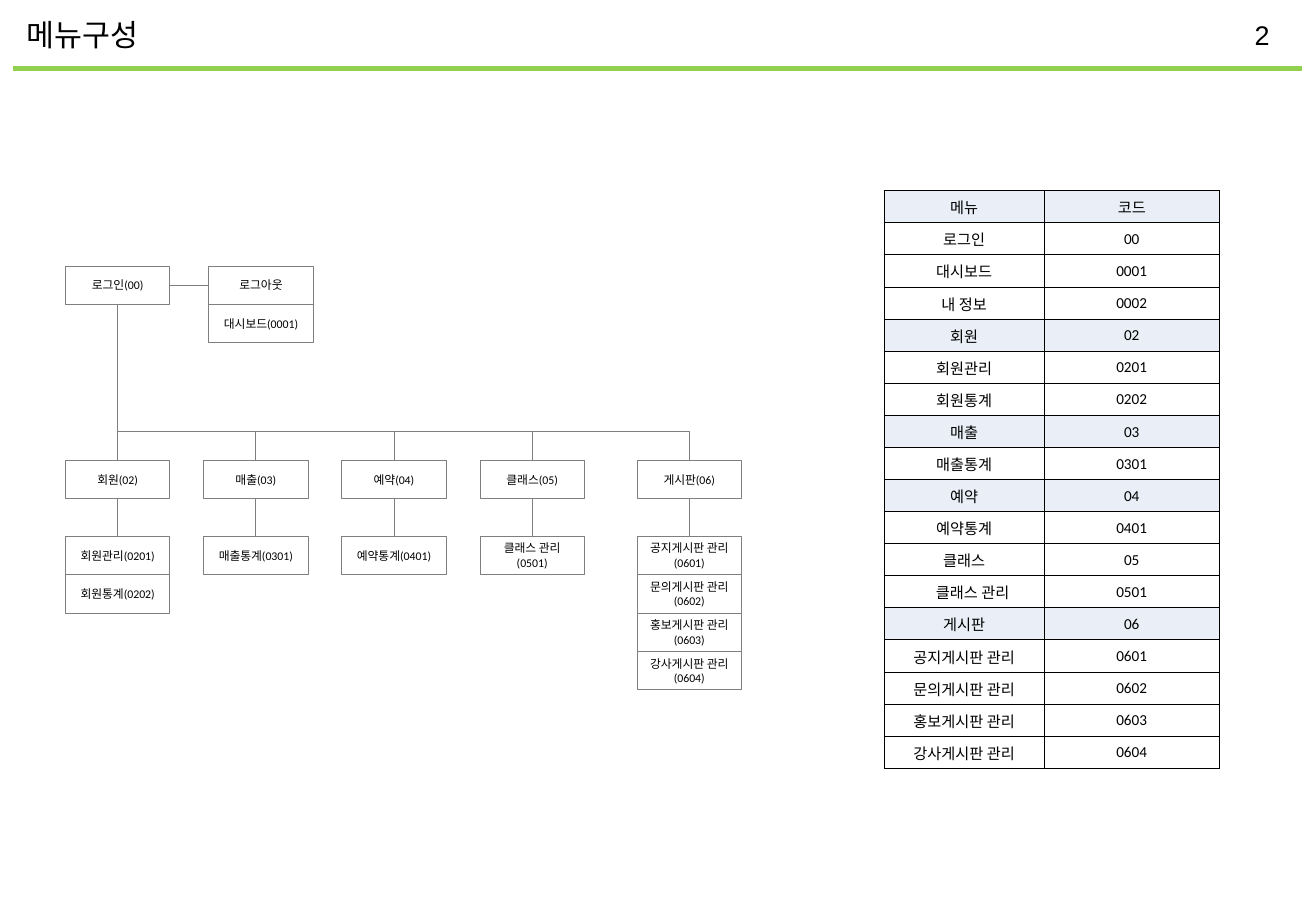
from lxml.etree import SubElement
from pptx import Presentation
from pptx.dml.color import RGBColor
from pptx.enum.shapes import MSO_CONNECTOR, MSO_SHAPE
from pptx.enum.text import MSO_ANCHOR, PP_ALIGN
from pptx.oxml.ns import qn
from pptx.util import Pt

BLACK = RGBColor(0x00, 0x00, 0x00)
WHITE = RGBColor(0xFF, 0xFF, 0xFF)
GRAY = RGBColor(0x7F, 0x7F, 0x7F)
GREEN = RGBColor(0x92, 0xD0, 0x50)
PALE_BLUE = RGBColor(0xEA, 0xEF, 0xF7)

HANGUL, LATIN = "Noto Sans CJK KR", "Calibri"

# Menu tree: name, code, left edge of its column, children
LOGIN = ("로그인", "00")
LOGIN_PAGES = [("대시보드", "0001"), ("내 정보", "0002")]
MENUS = [
    ("회원", "02", 38.8, [("회원관리", "0201"), ("회원통계", "0202")]),
    ("매출", "03", 120.7, [("매출통계", "0301")]),
    ("예약", "04", 202.6, [("예약통계", "0401")]),
    ("클래스", "05", 284.5, [("클래스 관리", "0501")]),
    ("게시판", "06", 377.6, [("공지게시판 관리", "0601"), ("문의게시판 관리", "0602"),
                          ("홍보게시판 관리", "0603"), ("강사게시판 관리", "0604")]),
]
SHADED_CODES = {"코드", "02", "03", "04", "06"}

BOX_W, BOX_H = 61.9, 22.8
LOGIN_Y, BUS_Y, MENU_Y, CHILD_Y = 157.7, 255.6, 272.8, 317.8
LOGOUT_X = 123.8
ROW_H = 19.04


def write(p, parts, size, align=PP_ALIGN.CENTER):
    """Fill a paragraph with (text, font name) runs."""
    p.alignment = align
    p.font.size = Pt(size)
    p.font.color.rgb = BLACK
    for text, name in parts:
        r = p.add_run()
        r.text = text
        r.font.name = name
        SubElement(r._r.get_or_add_rPr(), qn("a:ea")).set("typeface", name)


def add_label(s, x, y, w, h, text, size, name, align, anchor, before):
    tf = s.shapes.add_textbox(Pt(x), Pt(y), Pt(w), Pt(h)).text_frame
    tf.vertical_anchor = anchor
    tf.word_wrap = False
    p = tf.paragraphs[0]
    p.space_before = Pt(before)
    write(p, [(text, name)], size, align)


def add_line(s, x1, y1, x2, y2, color=GRAY, width=0.5):
    line = s.shapes.add_connector(MSO_CONNECTOR.STRAIGHT, Pt(x1), Pt(y1), Pt(x2), Pt(y2))
    line.line.color.rgb = color
    line.line.width = Pt(width)
    SubElement(line._element.spPr, qn("a:effectLst"))


def add_box(s, x, y, name, code=None):
    """Menu box; a name of two words puts its code on a second line."""
    sp = s.shapes.add_shape(MSO_SHAPE.RECTANGLE, Pt(x), Pt(y), Pt(BOX_W), Pt(BOX_H))
    sp.shadow.inherit = False
    sp.fill.solid()
    sp.fill.fore_color.rgb = WHITE
    sp.line.color.rgb = GRAY
    sp.line.width = Pt(0.5)
    tf = sp.text_frame
    tf.word_wrap = False
    tf.vertical_anchor = MSO_ANCHOR.MIDDLE
    p = tf.paragraphs[0]
    if code is None:
        write(p, [(name, HANGUL)], 7)
    elif " " in name:
        write(p, [(name, HANGUL)], 7)
        write(tf.add_paragraph(), [(f"({code})", LATIN)], 7)
    else:
        write(p, [(name, HANGUL), (f"({code})", LATIN)], 7)


def add_bus(s, x1, x2):
    """Horizontal branch that drops into the last menu."""
    fb = s.shapes.build_freeform(Pt(x2), Pt(MENU_Y))
    fb.add_line_segments([(Pt(x2), Pt(BUS_Y)), (Pt(x1), Pt(BUS_Y))], close=False)
    sp = fb.convert_to_shape()
    sp.shadow.inherit = False
    sp.fill.background()
    sp.line.color.rgb = GRAY
    sp.line.width = Pt(0.5)


def add_tree(s):
    first_x, last_x = MENUS[0][2], MENUS[-1][2]
    mid = BOX_W / 2
    # Login group
    add_box(s, first_x, LOGIN_Y, *LOGIN)
    add_box(s, LOGOUT_X, LOGIN_Y, "로그아웃")
    add_box(s, LOGOUT_X, LOGIN_Y + BOX_H, *LOGIN_PAGES[0])
    add_line(s, first_x + BOX_W, LOGIN_Y + BOX_H / 2, LOGOUT_X, LOGIN_Y + BOX_H / 2)
    add_line(s, first_x + mid, LOGIN_Y + BOX_H, first_x + mid, MENU_Y)
    add_bus(s, first_x + mid, last_x + mid)
    # Menu columns
    for name, code, x, children in MENUS:
        if x not in (first_x, last_x):
            add_line(s, x + mid, BUS_Y, x + mid, MENU_Y)
        add_line(s, x + mid, MENU_Y + BOX_H, x + mid, CHILD_Y)
        add_box(s, x, MENU_Y, name, code)
        for i, child in enumerate(children):
            add_box(s, x, CHILD_Y + i * BOX_H, *child)


def style_cell(cell, text, name, fill):
    tcPr = cell._tc.get_or_add_tcPr()
    for side in ("a:lnL", "a:lnR", "a:lnT", "a:lnB"):
        ln = SubElement(tcPr, qn(side), w=str(Pt(0.5)))
        SubElement(SubElement(ln, qn("a:solidFill")), qn("a:srgbClr"), val=str(BLACK))
    cell.fill.solid()
    cell.fill.fore_color.rgb = fill
    cell.vertical_anchor = MSO_ANCHOR.MIDDLE
    cell.margin_left = cell.margin_right = cell.margin_top = Pt(0.7)
    cell.margin_bottom = Pt(0)
    write(cell.text_frame.paragraphs[0], [(text, name)], 9)


def add_code_table(s):
    rows = [("메뉴", "코드"), LOGIN, *LOGIN_PAGES]
    for name, code, _, children in MENUS:
        rows += [(name, code), *children]
    widths = (94.8, 104)
    table = s.shapes.add_table(len(rows), 2, Pt(524), Pt(113), Pt(sum(widths)),
                               Pt(ROW_H * len(rows))).table
    table.first_row = table.horz_banding = False
    for column, width in zip(table.columns, widths):
        column.width = Pt(width)
    for i, (name, code) in enumerate(rows):
        table.rows[i].height = Pt(ROW_H)
        fill = PALE_BLUE if code in SHADED_CODES else WHITE
        style_cell(table.cell(i, 0), name, HANGUL, fill)
        style_cell(table.cell(i, 1), code, LATIN if code.isdigit() else HANGUL, fill)
        if code == "0501":
            table.cell(i, 0).margin_left = Pt(10.8)


def main():
    prs = Presentation()
    prs.slide_width, prs.slide_height = Pt(780), Pt(540)
    s = prs.slides.add_slide(prs.slide_layouts[6])
    # Header
    add_line(s, 8, 40.6, 772, 40.6, GREEN, 3)
    add_label(s, 702, 7.2, 57.6, 26, "2", 16, "Arial", PP_ALIGN.RIGHT, MSO_ANCHOR.TOP, 3.8)
    add_label(s, 8.6, 12.2, 90, 16, "메뉴구성", 18, HANGUL, PP_ALIGN.LEFT,
              MSO_ANCHOR.MIDDLE, 4.3)
    # Body
    add_tree(s)
    add_code_table(s)
    prs.save("out.pptx")


main()
